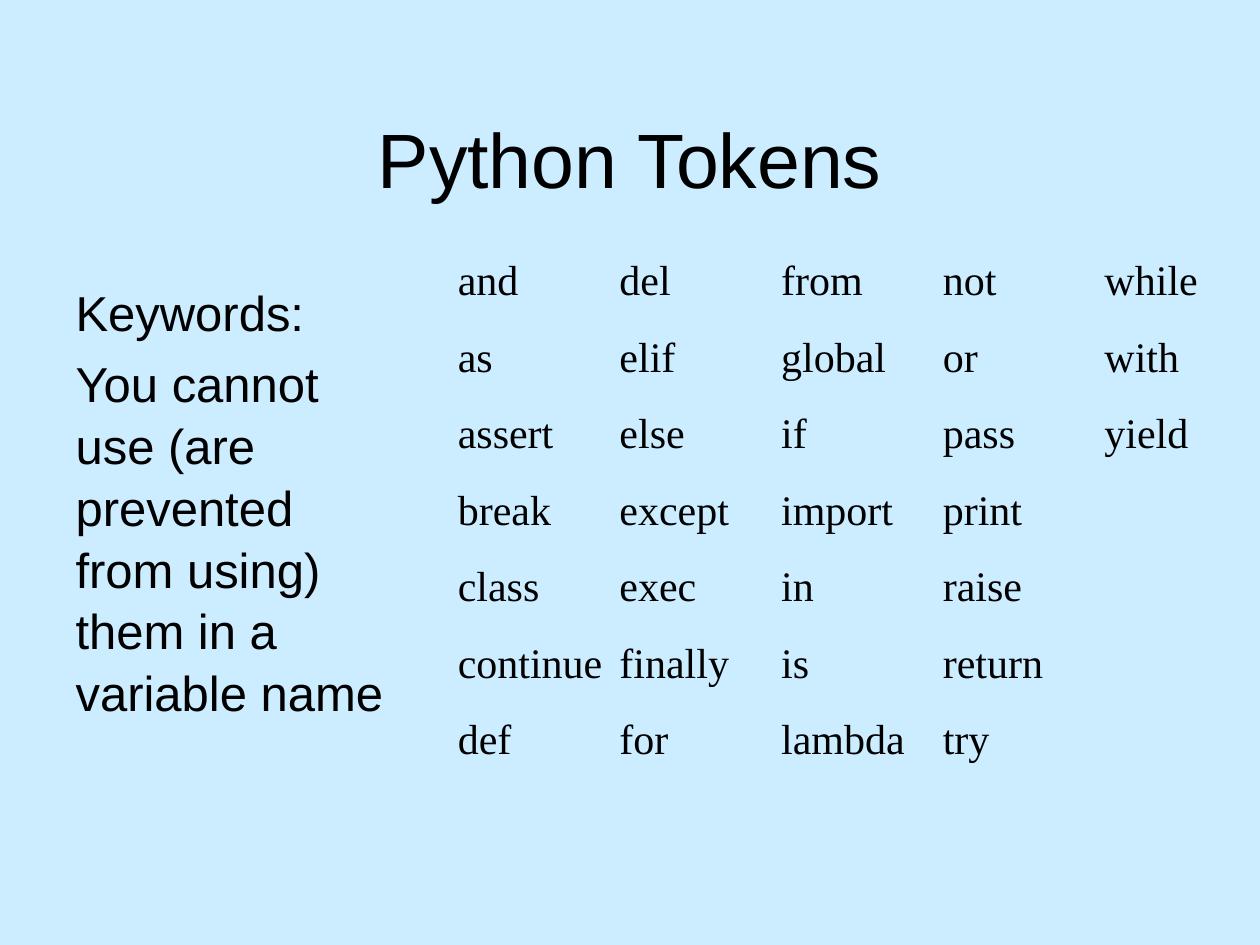
import dataclasses

import lxml.etree
import pptx
import pptx.dml.color
import pptx.enum.text
import pptx.oxml.ns
import pptx.util

GRID_COLUMNS, GRID_ROWS = 120, 90
NO_STYLE_NO_GRID = "{2D5ABB26-0587-4C30-8999-92F81FD0307C}"

KEYWORD_COLUMNS = [
    ["and", "as", "assert", "break", "class", "continue", "def"],
    ["del", "elif", "else", "except", "exec", "finally", "for"],
    ["from", "global", "if", "import", "in", "is", "lambda"],
    ["not", "or", "pass", "print", "raise", "return", "try"],
    ["while", "with", "yield"],
]


@dataclasses.dataclass(frozen=True)
class Theme:
    background: str = "CCECFF"
    ink: str = "000000"
    text_font: str = "Arial"
    code_font: str = "Times New Roman"
    title_size: int = 44
    body_size: int = 28
    code_size: int = 24
    space_share: float = 0.2
    body_leading: float = 1.05
    cell_margin: float = 0.05


class Page:
    def __init__(self, deck, theme):
        self.deck = deck
        self.theme = theme
        self.slide = deck.slides.add_slide(deck.slide_layouts[1])
        fill = self.slide.background.fill
        fill.solid()
        fill.fore_color.rgb = pptx.dml.color.RGBColor.from_string(theme.background)

    def area(self, column, row, columns, rows):
        """Turn grid columns and rows into left, top, width and height."""
        across = self.deck.slide_width / GRID_COLUMNS
        down = self.deck.slide_height / GRID_ROWS
        return [round(length) for length in
                (column * across, row * down, columns * across, rows * down)]

    def place(self, box, *cells):
        box.left, box.top, box.width, box.height = self.area(*cells)
        box.text_frame.word_wrap = True
        box.text_frame.auto_size = pptx.enum.text.MSO_AUTO_SIZE.NONE

    def style(self, paragraph, font_name, size):
        font = paragraph.font
        font.name = font_name
        font.size = pptx.util.Pt(size)
        font.color.rgb = pptx.dml.color.RGBColor.from_string(self.theme.ink)

    def title(self, text, *cells):
        box = self.slide.shapes.title
        self.place(box, *cells)
        box.text_frame.text = text
        box.text_frame.vertical_anchor = pptx.enum.text.MSO_ANCHOR.MIDDLE
        paragraph = box.text_frame.paragraphs[0]
        paragraph.alignment = pptx.enum.text.PP_ALIGN.CENTER
        self.style(paragraph, self.theme.text_font, self.theme.title_size)

    def body(self, lines, *cells):
        box = self.slide.placeholders[1]
        self.place(box, *cells)
        box.text_frame.text = "\n".join(lines)
        size = self.theme.body_size
        for paragraph in box.text_frame.paragraphs:
            properties = paragraph._p.get_or_add_pPr()
            properties.set("marL", "0")
            properties.set("indent", "0")
            lxml.etree.SubElement(properties, pptx.oxml.ns.qn("a:buNone"))
            paragraph.space_before = pptx.util.Pt(size * self.theme.space_share)
            paragraph.line_spacing = self.theme.body_leading
            self.style(paragraph, self.theme.text_font, size)

    def word_table(self, word_columns, *cells):
        """Add a plain table that runs down each column of words."""
        row_count = max(map(len, word_columns))
        frame = self.slide.shapes.add_table(
            row_count, len(word_columns), *self.area(*cells))
        table = frame.table
        table.first_row = table.horz_banding = False
        style_id = pptx.oxml.ns.qn("a:tableStyleId")
        table._tbl.tblPr.find(style_id).text = NO_STYLE_NO_GRID
        for column, words in enumerate(word_columns):
            for row in range(row_count):
                word = words[row] if row < len(words) else ""
                self.cell(table.cell(row, column), word)

    def cell(self, cell, word):
        margin = pptx.util.Inches(self.theme.cell_margin)
        cell.margin_left = cell.margin_right = margin
        cell.margin_top = cell.margin_bottom = margin
        cell.fill.background()
        properties = cell._tc.get_or_add_tcPr()
        for position, side in enumerate(("lnL", "lnR", "lnT", "lnB")):
            border = lxml.etree.Element(pptx.oxml.ns.qn("a:" + side))
            lxml.etree.SubElement(border, pptx.oxml.ns.qn("a:noFill"))
            properties.insert(position, border)
        cell.text = word
        paragraph = cell.text_frame.paragraphs[0]
        size = self.theme.code_size
        paragraph.space_before = pptx.util.Pt(size * self.theme.space_share)
        self.style(paragraph, self.theme.code_font, size)


def main():
    deck = pptx.Presentation()
    deck.slide_width = pptx.util.Inches(10)
    deck.slide_height = pptx.util.Inches(7.5)
    page = Page(deck, Theme())
    page.title("Python Tokens", 6, 6, 108, 18)
    page.body(
        ["Keywords:",
         "You cannot use (are prevented from using) them in a variable name"],
        6, 26, 33, 51)
    page.word_table(KEYWORD_COLUMNS, 43, 24, 77, 51)
    deck.save("out.pptx")


if __name__ == "__main__":
    main()
